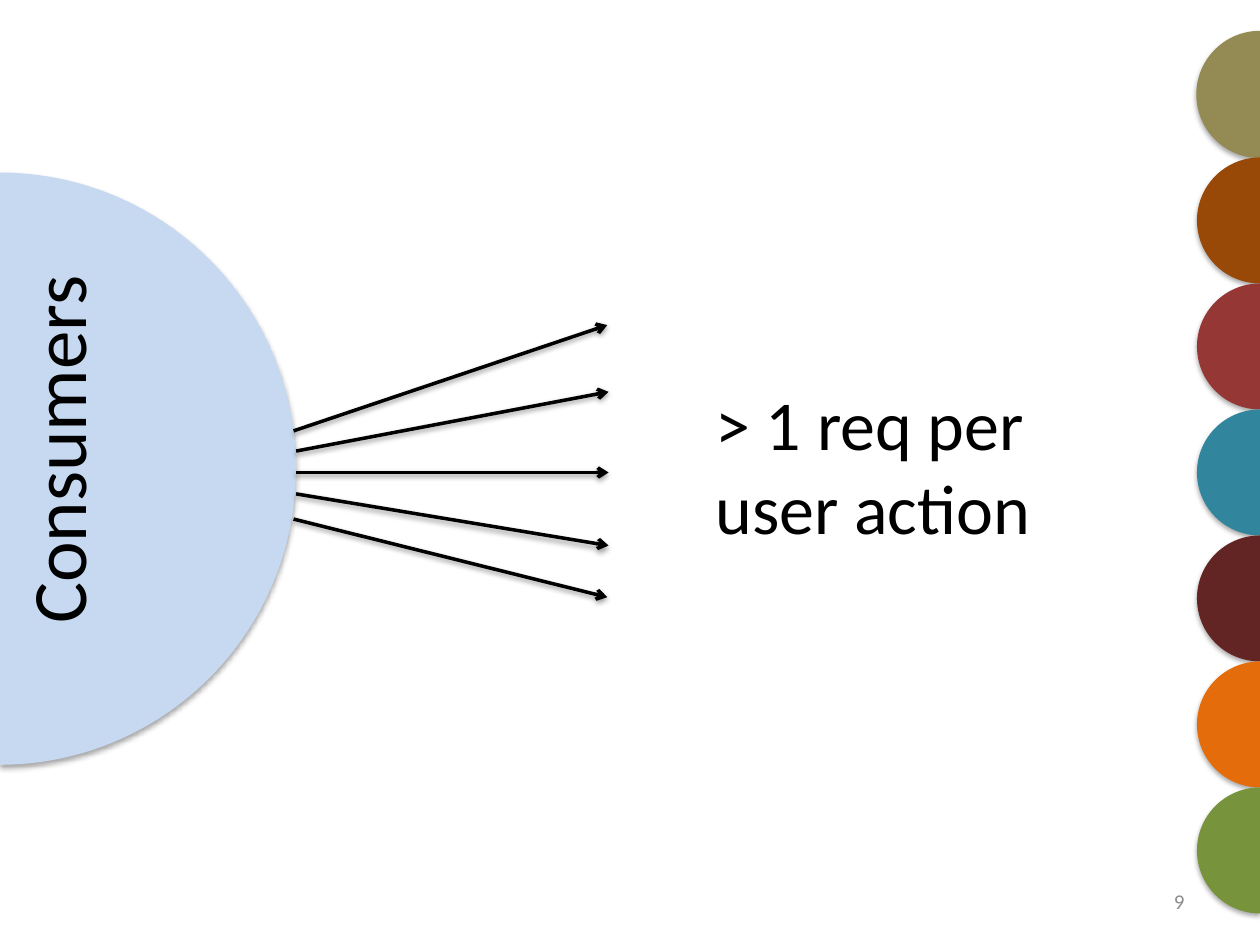
from lxml.etree import SubElement
from pptx import Presentation
from pptx.dml.color import RGBColor
from pptx.enum.shapes import MSO_CONNECTOR, MSO_SHAPE
from pptx.enum.text import MSO_ANCHOR, MSO_AUTO_SIZE, PP_ALIGN
from pptx.oxml.ns import qn
from pptx.util import Inches, Pt

BLACK = RGBColor(0x00, 0x00, 0x00)
GRAY = RGBColor(0x8C, 0x8C, 0x8C)
PALE_BLUE = RGBColor(0xC6, 0xD9, 0xF1)
OLIVE = RGBColor(0x94, 0x8A, 0x54)
BROWN = RGBColor(0x98, 0x48, 0x07)
RED = RGBColor(0x95, 0x37, 0x35)
TEAL = RGBColor(0x31, 0x85, 0x9C)
MAROON = RGBColor(0x63, 0x25, 0x23)
ORANGE = RGBColor(0xE4, 0x6C, 0x0A)
GREEN = RGBColor(0x77, 0x93, 0x3C)

PRODUCERS = (OLIVE, BROWN, RED, TEAL, MAROON, ORANGE, GREEN)
REQUESTS = (
    ((2.33, 3.42), (4.82, 2.58)),
    ((2.35, 3.58), (4.83, 3.11)),
    ((2.35, 3.75), (4.83, 3.75)),
    ((2.35, 3.92), (4.83, 4.33)),
    ((2.33, 4.12), (4.82, 4.74)),
)
RIGHT_HALF = (162, 54)
LEFT_HALF = (54, 162)


def add_shadow(effects, opacity, distance):
    """Put a soft downward shadow into an effect list."""
    shadow = SubElement(effects, qn("a:outerShdw"), blurRad=str(Pt(3.1)),
                        dist=str(Pt(distance)), dir="5400000", rotWithShape="0")
    color = SubElement(shadow, qn("a:srgbClr"), val=str(BLACK))
    SubElement(color, qn("a:alpha"), val=str(opacity * 1000))


def add_half_disc(s, left, top, size, angles, color):
    """Add a shadowed half disc cut from a circle of the given size."""
    sp = s.shapes.add_shape(MSO_SHAPE.PIE, Inches(left), Inches(top),
                            Inches(size), Inches(size))
    sp.adjustments[0], sp.adjustments[1] = angles
    sp.fill.solid()
    sp.fill.fore_color.rgb = color
    sp.line.fill.background()
    sp.shadow.inherit = False
    add_shadow(sp._element.spPr.find(qn("a:effectLst")), 35, 1.8)
    return sp


def add_arrow(s, start, end):
    """Add a shadowed black arrow between two points."""
    points = [Inches(v) for v in (*start, *end)]
    cxn = s.shapes.add_connector(MSO_CONNECTOR.STRAIGHT, *points)
    cxn.line.color.rgb = BLACK
    cxn.line.width = Pt(2)
    SubElement(cxn.line._ln, qn("a:tailEnd"), type="arrow")
    add_shadow(SubElement(cxn._element.spPr, qn("a:effectLst")), 38, 1.6)


def add_text(s, box, text, size, color=BLACK, wrap=True):
    """Add a Calibri text box and return its text frame."""
    tf = s.shapes.add_textbox(*(Inches(v) for v in box)).text_frame
    tf.word_wrap = wrap
    tf.text = text
    font = tf.paragraphs[0].runs[0].font
    font.name = "Calibri"
    font.size = Pt(size)
    font.color.rgb = color
    return tf


def main():
    """Build the slide and save it."""
    prs = Presentation()
    prs.slide_width, prs.slide_height = Inches(10), Inches(7.5)
    s = prs.slides.add_slide(prs.slide_layouts[6])

    tf = add_text(s, (7.17, 6.95, 2.33, 0.4), "9", 12, GRAY)
    tf.vertical_anchor = MSO_ANCHOR.MIDDLE
    tf.paragraphs[0].alignment = PP_ALIGN.RIGHT

    add_half_disc(s, -2.35, 1.37, 4.7, RIGHT_HALF, PALE_BLUE)
    tf = add_text(s, (0.03, 2.15, 0.94, 2.9), "Consumers", 44, wrap=False)
    tf.auto_size = MSO_AUTO_SIZE.SHAPE_TO_FIT_TEXT
    tf._txBody.bodyPr.set("vert", "vert270")

    for row, color in enumerate(PRODUCERS):
        sp = add_half_disc(s, 9.5, 0.25 + row, 1, LEFT_HALF, color)
        if color == OLIVE:
            sp.line.color.rgb = OLIVE
            sp.line.width = Pt(0.75)

    for start, end in REQUESTS:
        add_arrow(s, start, end)

    tf = add_text(s, (5.58, 2.97, 2.83, 1.45), "> 1 req per user action", 40)
    tf.auto_size = MSO_AUTO_SIZE.SHAPE_TO_FIT_TEXT
    prs.save("out.pptx")


if __name__ == "__main__":
    main()
